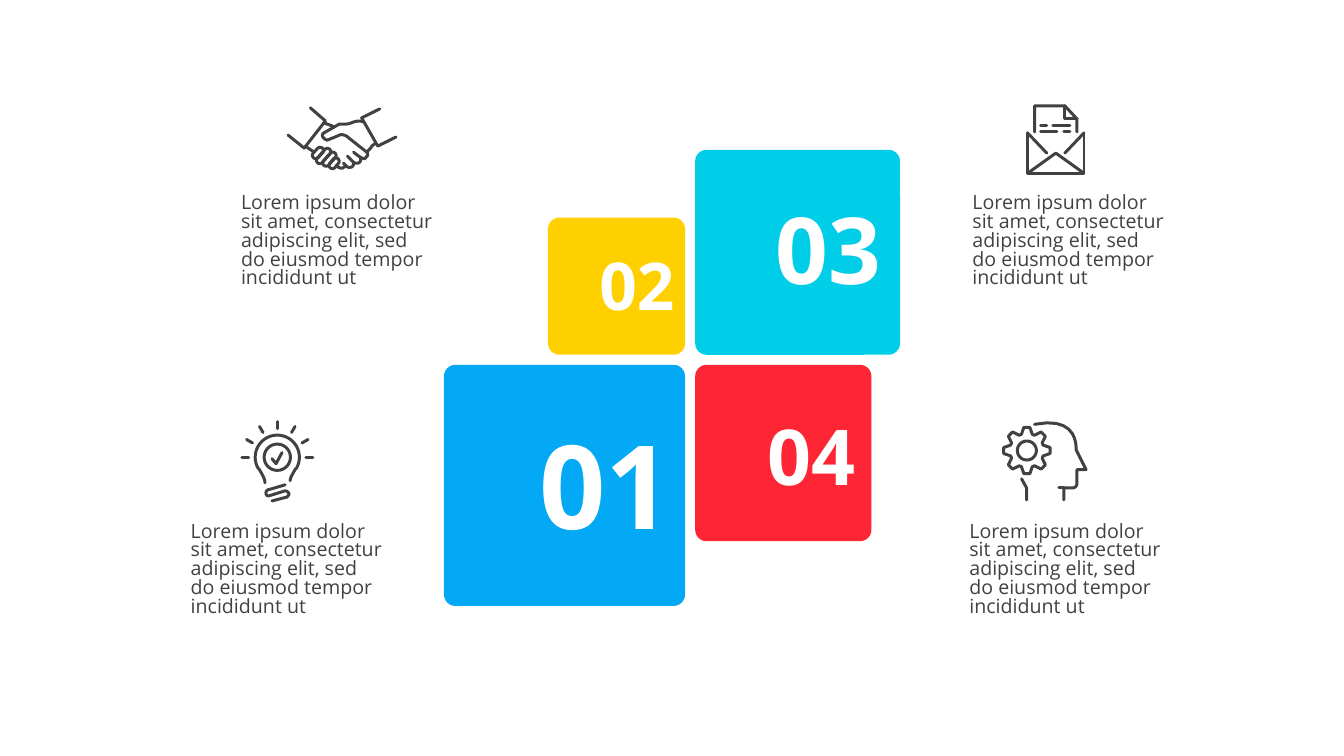
from math import atan2, cos, degrees, radians, sin

from lxml.etree import SubElement
from pptx import Presentation
from pptx.dml.color import RGBColor
from pptx.enum.shapes import MSO_SHAPE as Preset
from pptx.enum.text import MSO_ANCHOR as Anchor
from pptx.enum.text import MSO_AUTO_SIZE as AutoSize
from pptx.oxml.ns import qn
from pptx.util import Pt

COLORS = {"blue": "03A9F4", "yellow": "FFD000", "cyan": "00CEE8",
          "red": "FE2635", "ink": "414042", "white": "FFFFFF"}
FONT = "Open Sans"
CAPTION = ("Lorem ipsum dolor sit amet, consectetur adipiscing elit, "
           "sed do eiusmod tempor incididunt ut")
LEFT_EDGE, RIGHT_EDGE, UPPER_EDGE, LOWER_EDGE = 489.6, 496.8, 253.4, 260.6
CORNER = 8.2

TILES = [
    ("01", "blue", 172.3, -1, 1, 83, 385.2, 295.2),
    ("02", "yellow", 98, -1, -1, 47, 428.4, 175),
    ("03", "cyan", 146.4, 1, -1, 66, 554.4, 137.5),
    ("04", "red", 126, 1, 1, 55, 548.6, 291.6),
]
CAPTIONS = [(129.2, 370.1), (165.2, 135.4), (685.7, 370.1), (687.9, 135.4)]


def color(name):
    return RGBColor.from_string(COLORS[name])


def polar(center, radius, angle):
    return (center[0] + radius * cos(radians(angle)),
            center[1] + radius * sin(radians(angle)))


def arc(center, radius, start=0, end=360):
    steps = 32
    return [polar(center, radius, start + (end - start) * step / steps)
            for step in range(steps + 1)]


def curve(*points):
    steps = 10
    result = [points[0]]
    for index in range(0, len(points) - 1, 3):
        a, b, c, d = points[index:index + 4]
        for step in range(1, steps + 1):
            t = step / steps
            weights = ((1 - t) ** 3, 3 * t * (1 - t) ** 2, 3 * t * t * (1 - t), t ** 3)
            result.append(tuple(sum(w * p[axis] for w, p in zip(weights, (a, b, c, d)))
                                for axis in (0, 1)))
    return result


def capsule(start, end, radius):
    angle = degrees(atan2(end[1] - start[1], end[0] - start[0]))
    outline = arc(end, radius, angle - 90, angle + 90) + arc(start, radius, angle + 90, angle + 270)
    return outline + outline[:1]


def handshake():
    fingers = [((228.8, 107.6), (225.7, 110.9)), ((234, 108.4), (228.6, 114.5)),
               ((237.8, 111.1), (233.1, 116.3)), ((240, 115.2), (237.6, 118.1))]
    return [capsule(start, end, 2.4) for start, end in fingers] + [
        curve((252.7, 108.7), (252.7, 108.7), (257.8, 113), (259.2, 113),
              (260.6, 113.8), (261.4, 113), (261.4, 112.3),
              (262.8, 111.6), (262.8, 110.9), (262.8, 110.2),
              (262.8, 109.4), (262.8, 109.4), (262.1, 108.7)),
        [(248.4, 111.6)] + curve((252.7, 115.9), (253.4, 116.6), (254.2, 116.6), (254.9, 116.6),
                                 (255.6, 116.6), (256.3, 116.6), (257, 115.9),
                                 (257.8, 115.2), (257.8, 114.5), (257.8, 112.3)),
        [(245.5, 116.6)] + curve((247.7, 118.8), (248.4, 119.5), (249.1, 119.5), (249.8, 119.5),
                                 (250.6, 119.5), (251.3, 119.5), (252, 118.8),
                                 (252.7, 118.1), (252.7, 117.4), (252.7, 115.9)),
        [(240.5, 118.1)] + curve((241.9, 119.5), (241.9, 119.5), (243.4, 120.2), (244.8, 120.2),
                                 (245.5, 119.5), (246.2, 119.5), (247, 118.1)),
        [(271.4, 77.8), (258.5, 84.2), (270, 104.4), (283, 97.9)],
        curve((259.9, 87.1), (254.2, 85), (251.3, 88.6), (247.7, 88.6),
              (245.5, 88.6), (244.1, 88.6), (242.6, 88.6))
        + curve((232.6, 94.3), (227.5, 96.5), (232.6, 100.1), (234, 100.1),
                (235.4, 99.4), (239.8, 97.9), (242.6, 96.5),
                (244.1, 95.8), (246.2, 96.5), (247.7, 97.2),
                (252, 100.8), (261.4, 108), (262.1, 108.7)),
        [(268.6, 102.2), (265.7, 104.4), (265, 105.8), (262.1, 108.7)],
        [(205.9, 96.5), (217.4, 105.8), (232.6, 86.4), (221.8, 77)],
        [(218.2, 104.4), (224.6, 108.7)],
        curve((239, 90.7), (237.6, 90), (234, 88.6), (231.1, 87.8)),
    ]


def light_bulb():
    center = (198.2, 326.6)
    rays = [[polar(center, 20.4, angle), polar(center, 25.4, angle)]
            for angle in range(180, 361, 30)]
    glass = (curve((189.4, 344.9), (189.4, 342.7), (188.6, 340.6), (185, 334.8))
             + arc(center, 15.8, 149, 391)
             + curve((211.3, 334.8), (208.8, 339.1), (207.4, 341.3), (207.4, 343.4)))
    screw = ([(203.8, 346.3)]
             + curve((191.5, 349.9), (190.8, 349.9), (190.1, 351.4), (190.1, 352.1),
                     (190.1, 353.5), (190.8, 354.2), (192.2, 354.2))
             + curve((203.8, 350.6), (205.2, 350.6), (206.6, 352.1), (206.6, 352.8),
                     (206.6, 353.5), (205.9, 354.2), (205.2, 355))
             + [(194.4, 357.8)])
    check = [(194.4, 327.6), (197.3, 331.2), (201.6, 323.3)]
    return rays + [glass, arc(center, 9.4), check, screw]


def thinking_head():
    center = (733.9, 321.8)
    tooth = [(-18.5, 12.2), (-7.4, 16.7), (7.4, 16.7), (18.5, 12.2)]
    gear = [polar(center, radius, middle + offset)
            for middle in range(0, 360, 45) for offset, radius in tooth]
    face = (curve((739.4, 303.1), (771.8, 296.6), (769, 321.1), (769, 321.1))
            + [(776.2, 335.5), (769.7, 335.5)]
            + curve((769.7, 345.6), (769.7, 347), (768.2, 348.5), (766.8, 348.5))
            + [(760.3, 348.5), (760.3, 357.1)])
    return [gear + gear[:1], arc(center, 6.8), face,
            [(760.3, 348.5), (756.7, 348.5)],
            [(733.7, 357.1), (733.7, 348.5), (730.1, 342)]]


def letter():
    left, right, top, bottom = 734.4, 774.7, 95, 123.8
    dashes = [(743.8, 748.1, 90), (752.4, 764.6, 90),
              (743.8, 755.3, 94.3), (760.3, 764.6, 94.3)]
    return [
        [(right, top), (right, bottom), (left, bottom), (left, top)],
        [(right, bottom), (754.6, 109.4), (left, bottom)],
        [(right, top), (761, 109.4)],
        [(left, top), (748.1, 109.4)],
        [(769.7, 94.3), (769.7, 85), (761, 75.6), (739.4, 75.6), (739.4, 94.3)],
        [(761, 75.6), (761, 85), (769.7, 85)],
    ] + [[(start, y), (end, y)] for start, end, y in dashes]


def add_icon(page, strokes):
    builder = None
    for stroke in strokes:
        first, *rest = [(Pt(x), Pt(y)) for x, y in stroke]
        if builder is None:
            builder = page.shapes.build_freeform(*first, scale=1.0)
        else:
            builder.move_to(*first)
        builder.add_line_segments(rest, close=stroke[0] == stroke[-1])
    icon = builder.convert_to_shape()
    icon.shadow.inherit = False
    icon.fill.background()
    icon.line.color.rgb = color("ink")
    icon.line.width = Pt(2.13)
    outline = icon.element.spPr.find(qn("a:ln"))
    outline.set("cap", "rnd")
    SubElement(outline, qn("a:round"))


def add_text(page, text, left, top, width, height, size, color_name):
    box = page.shapes.add_textbox(Pt(left), Pt(top), Pt(width), Pt(height))
    frame = box.text_frame
    frame.text = text
    font = frame.paragraphs[0].runs[0].font
    font.name, font.size = FONT, Pt(size)
    font.color.rgb = color(color_name)
    return frame


def add_tile(page, label, fill, side, across, down, size, text_left, text_top):
    left = LEFT_EDGE - side if across < 0 else RIGHT_EDGE
    top = UPPER_EDGE - side if down < 0 else LOWER_EDGE
    tile = page.shapes.add_shape(Preset.ROUNDED_RECTANGLE, Pt(left), Pt(top), Pt(side), Pt(side))
    tile.adjustments[0] = CORNER / side
    tile.shadow.inherit = False
    tile.fill.solid()
    tile.fill.fore_color.rgb = color(fill)
    tile.line.fill.background()
    frame = add_text(page, label, text_left, text_top, size * 1.16, size * 1.2, size, "white")
    frame.margin_left = frame.margin_right = frame.margin_top = frame.margin_bottom = 0
    frame.word_wrap = False
    frame.auto_size = AutoSize.SHAPE_TO_FIT_TEXT
    frame.vertical_anchor = Anchor.MIDDLE
    frame.paragraphs[0].runs[0].font.bold = True


def add_caption(page, left, top):
    frame = add_text(page, CAPTION, left, top, 152.8, 82, 14, "ink")
    frame.word_wrap = True
    frame.paragraphs[0].line_spacing = 0.8


def main():
    deck = Presentation()
    deck.slide_width, deck.slide_height = Pt(960.48), Pt(540)
    page = deck.slides.add_slide(deck.slide_layouts[6])
    for tile in TILES:
        add_tile(page, *tile)
    for strokes in (handshake(), light_bulb(), thinking_head(), letter()):
        add_icon(page, strokes)
    for left, top in CAPTIONS:
        add_caption(page, left, top)
    deck.save("out.pptx")


if __name__ == "__main__":
    main()
